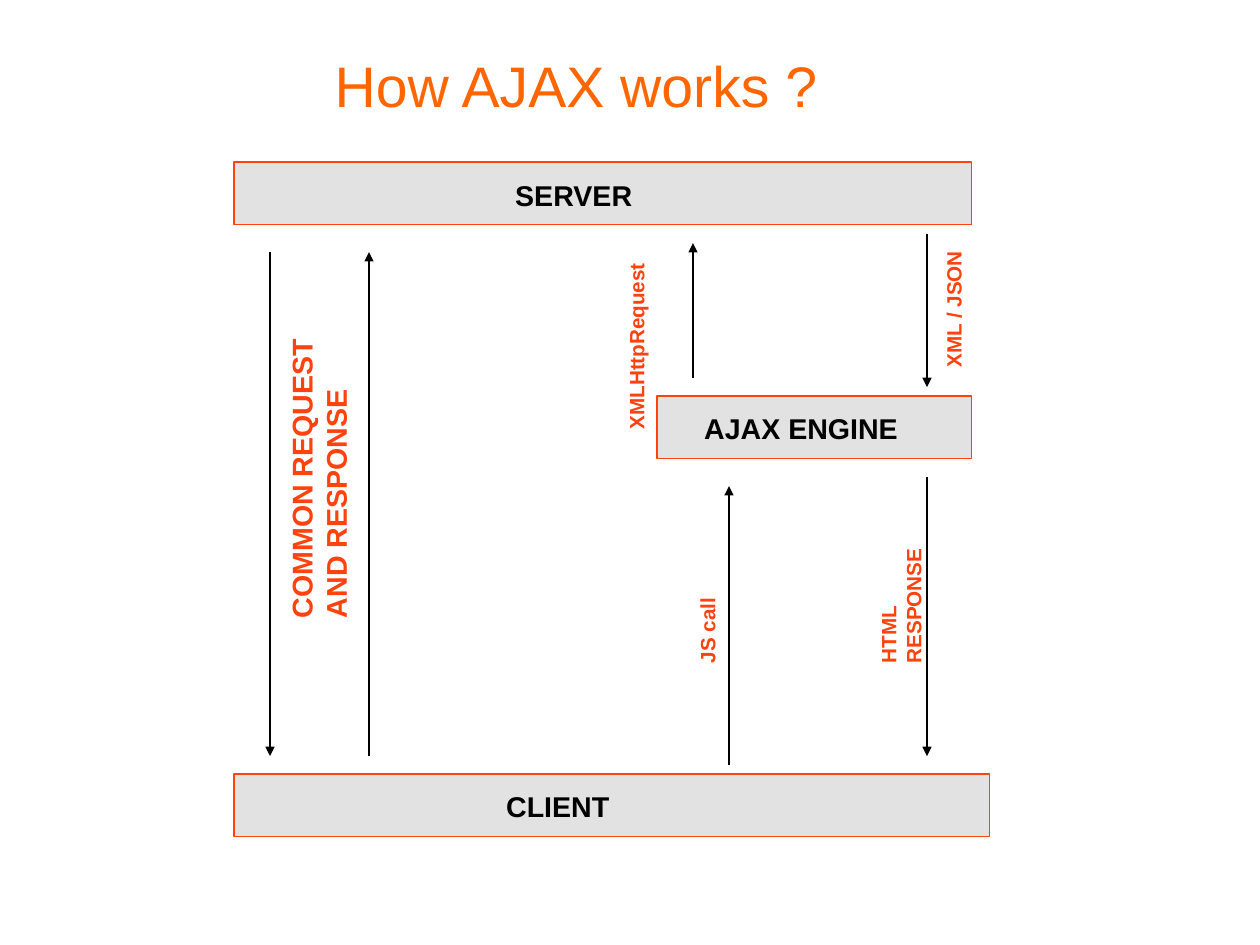
from pptx import Presentation
from pptx.dml.color import RGBColor
from pptx.enum.shapes import MSO_CONNECTOR as CONNECTOR, MSO_SHAPE as SHAPE
from pptx.enum.text import MSO_ANCHOR as ANCHOR, PP_ALIGN as ALIGN
from pptx.oxml.ns import qn
from pptx.util import Pt
from lxml.etree import SubElement

PX = 9000
BLACK, RED, ORANGE, GRAY = "000000", "FF420E", "FF6600", "E2E2E2"


def color(value):
    return RGBColor.from_string(value)


def add_text(text, box, size, text_color, bold=True, rotation=0):
    shape = slide.shapes.add_textbox(*[n * PX for n in box])
    shape.rotation = rotation
    shape.text_frame.word_wrap = True
    paragraph = shape.text_frame.paragraphs[0]
    paragraph.text = text
    paragraph.font.name = "Arial"
    paragraph.font.size = Pt(size)
    paragraph.font.bold = bold
    paragraph.font.color.rgb = color(text_color)
    return shape.text_frame


presentation = Presentation()
presentation.slide_width = 1120 * PX
presentation.slide_height = 840 * PX
slide = presentation.slides.add_slide(presentation.slide_layouts[6])

title = add_text("How AJAX works ?", (56, 34, 912, 82), 36, ORANGE, bold=False)
title.margin_left = title.margin_right = title.margin_top = title.margin_bottom = 0
title.vertical_anchor = ANCHOR.MIDDLE
title.paragraphs[0].alignment = ALIGN.CENTER

bars = [
    ("SERVER", 208, 144, 656, 448, 153),
    ("CLIENT", 208, 688, 672, 440, 696),
    ("AJAX ENGINE", 584, 352, 280, 616, 360),
]
for name, left, top, width, label_left, label_top in bars:
    bar = slide.shapes.add_shape(SHAPE.RECTANGLE, left * PX, top * PX, width * PX, 56 * PX)
    bar.shadow.inherit = False
    bar.fill.solid()
    bar.fill.fore_color.rgb = color(GRAY)
    bar.line.color.rgb = color(RED)
    bar.line.width = 0
    add_text(name, (label_left, label_top, 208, 39), 18, BLACK)

arrows = [
    (240, 224, 672),
    (328, 672, 224),
    (824, 208, 344),
    (824, 424, 672),
    (616, 336, 216),
    (648, 680, 432),
]
for x, start, end in arrows:
    arrow = slide.shapes.add_connector(CONNECTOR.STRAIGHT, x * PX, start * PX, x * PX, end * PX)
    arrow.line.color.rgb = color(BLACK)
    arrow.line.width = Pt(1.5)
    SubElement(arrow.line._get_or_add_ln(), qn("a:tailEnd"), type="triangle")
    SubElement(arrow._element.spPr, qn("a:effectLst"))

captions = [
    ("COMMON REQUEST AND RESPONSE", (145, 382, 280, 75), 18),
    ("XMLHttpRequest", (479, 278, 184, 43), 13),
    ("XML / JSON", (789, 251, 128, 43), 13),
    ("JS call", (590, 542, 80, 35), 13),
    ("HTML RESPONSE", (735, 510, 128, 51), 13),
]
for text, box, size in captions:
    add_text(text, box, size, RED, rotation=270)

presentation.save("out.pptx")
